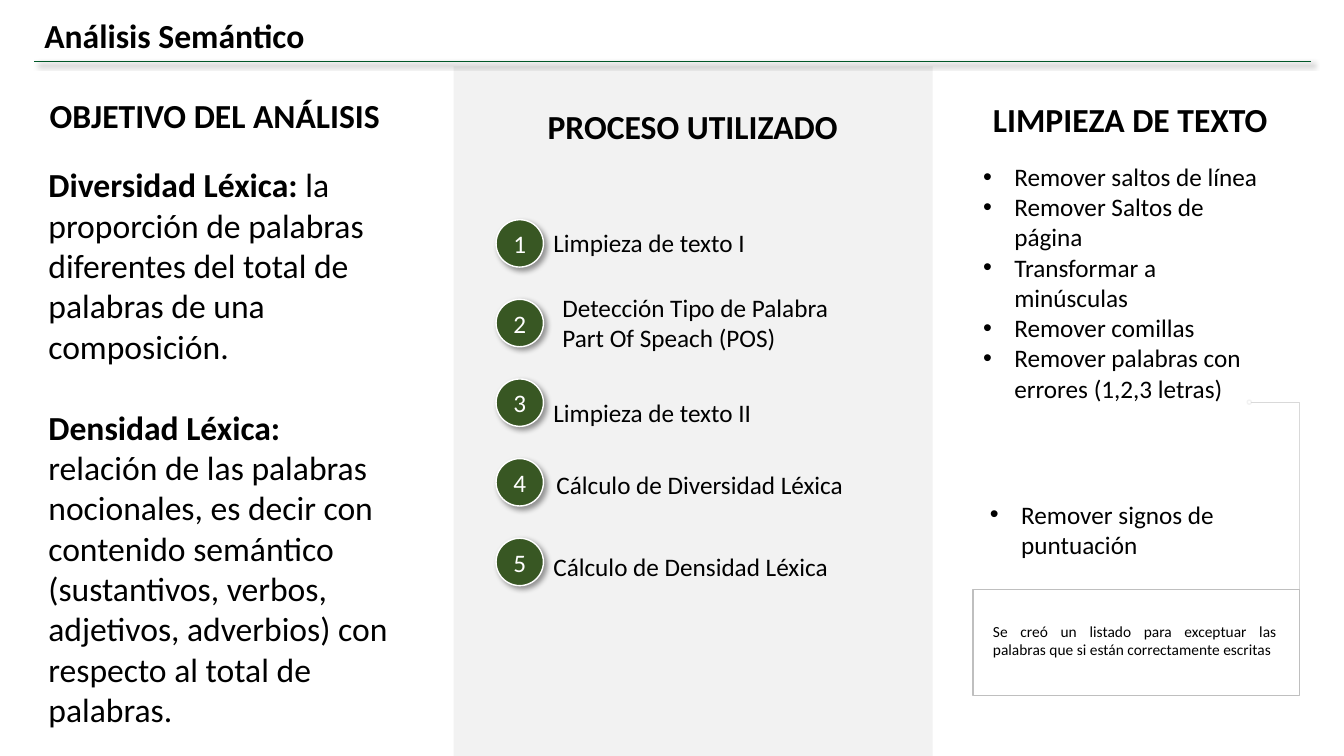
from dataclasses import dataclass

from lxml.etree import SubElement
from pptx import Presentation
from pptx.dml.color import RGBColor
from pptx.enum.shapes import MSO_CONNECTOR, MSO_SHAPE
from pptx.enum.text import MSO_ANCHOR, MSO_AUTO_SIZE, PP_ALIGN
from pptx.oxml.ns import qn
from pptx.util import Inches, Pt


@dataclass(frozen=True)
class Theme:
    font: str = "Calibri"
    ink: str = "000000"
    white: str = "FFFFFF"
    rule: str = "005828"
    panel: str = "F2F2F2"
    badge: str = "385723"
    link: str = "D9D9D9"
    frame: str = "BFBFBF"
    heading: int = 24
    body: int = 18
    note: int = 11


THEME = Theme()

TITLE = "Análisis Semántico"
HEADINGS = [  # text, left, top, alignment
    ("OBJETIVO DEL ANÁLISIS", 0.34, 0.89, PP_ALIGN.CENTER),
    ("PROCESO UTILIZADO", 5.08, 1, PP_ALIGN.CENTER),
    ("LIMPIEZA DE TEXTO", 9.75, 0.93, PP_ALIGN.LEFT),
]
DEFINITIONS = [
    ("Diversidad Léxica: ",
     "la proporción de palabras diferentes del total de palabras de una composición."),
    ("Densidad Léxica: ",
     "relación de las palabras nocionales, es decir con contenido semántico "
     "(sustantivos, verbos, adjetivos, adverbios) con respecto al total de palabras."),
]
STEPS = [  # lines, left, top
    (["Limpieza de texto I"], 5.39, 2.21),
    (["Detección Tipo de Palabra", "Part Of Speach (POS)"], 5.48, 2.85),
    (["Limpieza de texto II"], 5.39, 3.89),
    (["Cálculo de Diversidad Léxica"], 5.42, 4.61),
    (["Cálculo de Densidad Léxica"], 5.39, 5.42),
]
CLEANING = [
    "Remover saltos de línea",
    "Remover Saltos de página",
    "Transformar a minúsculas",
    "Remover comillas",
    "Remover palabras con errores (1,2,3 letras)",
]
PUNCTUATION = ["Remover signos de puntuación"]
NOTE = "Se creó un listado para exceptuar las palabras que si están correctamente escritas"

BADGE_LEFT, BADGE_TOP, BADGE_SIZE, BADGE_PITCH = 4.92, 2.18, 0.47, 0.79
NOTE_BOX = (9.65, 5.85, 3.24, 1.05)
DOT = (12.37, 3.97, 0.04, 0.04)


def rgb(value):
    return RGBColor.from_string(value)


def place(shape, box):
    shape.left, shape.top, shape.width, shape.height = map(Inches, box)


def add_effects(spPr, shadow):
    """Replace the theme effect with none, or with a soft drop shadow."""
    effects = spPr.find(qn("a:effectLst"))
    if effects is None:
        effects = SubElement(spPr, qn("a:effectLst"))
    if shadow:
        outer = SubElement(effects, qn("a:outerShdw"), blurRad=str(Pt(4)),
                           dist=str(Pt(3)), dir=str(45 * 60000), rotWithShape="0")
        color = SubElement(outer, qn("a:srgbClr"), val=THEME.ink)
        SubElement(color, qn("a:alpha"), val="40000")


def add_shape(slide, kind, box, fill=None, line=None, shadow=False):
    shape = slide.shapes.add_shape(kind, *map(Inches, box))
    shape.shadow.inherit = False
    if fill:
        shape.fill.solid()
        shape.fill.fore_color.rgb = rgb(fill)
    else:
        shape.fill.background()
    if line:
        shape.line.color.rgb = rgb(line)
        shape.line.width = Pt(1)
    else:
        shape.line.fill.background()
    add_effects(shape._element.spPr, shadow)
    return shape


def add_line(slide, kind, start, end, color, width, shadow=False):
    line = slide.shapes.add_connector(kind, *map(Inches, start + end))
    line.line.color.rgb = rgb(color)
    line.line.width = Pt(width)
    add_effects(line._element.spPr, shadow)
    return line


def write(shape, paragraphs, size, color=THEME.ink, align=PP_ALIGN.LEFT,
          anchor=MSO_ANCHOR.TOP, bullet=False, gap=0):
    """Fill a shape; each paragraph is a list of (text, bold) runs."""
    frame = shape.text_frame
    frame.word_wrap = True
    frame.auto_size = MSO_AUTO_SIZE.NONE
    frame.vertical_anchor = anchor
    for index, runs in enumerate(paragraphs):
        paragraph = frame.add_paragraph() if index else frame.paragraphs[0]
        paragraph.alignment = align
        paragraph.space_before = Pt(gap if index else 0)
        indent = Inches(0.31) if bullet else 0
        pPr = paragraph._p.get_or_add_pPr()
        pPr.set("marL", str(indent))
        pPr.set("indent", str(-indent))
        if bullet:
            SubElement(pPr, qn("a:buFont"), typeface="Arial")
            SubElement(pPr, qn("a:buChar"), char="•")
        else:
            SubElement(pPr, qn("a:buNone"))
        for text, bold in runs:
            run = paragraph.add_run()
            run.text = text
            run.font.name = THEME.font
            run.font.size = Pt(size)
            run.font.bold = bold
            run.font.color.rgb = rgb(color)


def plain(lines):
    return [[(line, False)] for line in lines]


def add_text(slide, box, paragraphs, size, **style):
    write(slide.shapes.add_textbox(*map(Inches, box)), paragraphs, size, **style)


def add_placeholder_texts(slide):
    title, objective, cleaning = slide.placeholders
    place(title, (0.34, 0.05, 9.32, 0.52))
    frame = title.text_frame
    frame.margin_top = frame.margin_bottom = Inches(0.1)
    write(title, [[(TITLE, True)]], THEME.heading)
    place(objective, (0.38, 1.58, 3.58, 5.76))
    write(objective, [[(term, True), (meaning, False)] for term, meaning in DEFINITIONS],
          THEME.heading, gap=29)
    place(cleaning, (9.65, 1.55, 2.92, 3.13))
    write(cleaning, plain(CLEANING), THEME.body, bullet=True)


def add_process(slide):
    for index, (lines, left, top) in enumerate(STEPS):
        badge = add_shape(slide, MSO_SHAPE.OVAL,
                          (BADGE_LEFT, BADGE_TOP + index * BADGE_PITCH, BADGE_SIZE, BADGE_SIZE),
                          THEME.badge, THEME.white, shadow=True)
        write(badge, plain([str(index + 1)]), THEME.body, THEME.white,
              PP_ALIGN.CENTER, MSO_ANCHOR.MIDDLE)
        add_text(slide, (left, top, 3.06, 0.1 + 0.3 * len(lines)), plain(lines), THEME.body)


def add_note(slide):
    add_text(slide, (9.72, 4.9, 2.92, 0.71), plain(PUNCTUATION), THEME.body, bullet=True)
    add_shape(slide, MSO_SHAPE.OVAL, DOT, line=THEME.panel)
    start = (DOT[0] + DOT[2], DOT[1] + DOT[3] / 2)
    end = (NOTE_BOX[0] + NOTE_BOX[2], NOTE_BOX[1])
    elbow = add_line(slide, MSO_CONNECTOR.ELBOW, start, end, THEME.link, 0.5)
    elbow._element.spPr.find(qn("a:prstGeom")).set("prst", "bentConnector2")
    add_shape(slide, MSO_SHAPE.RECTANGLE, NOTE_BOX, line=THEME.frame)
    add_text(slide, (9.75, 6.12, 3.01, 0.47), plain([NOTE]), THEME.note,
             align=PP_ALIGN.JUSTIFY)


def main():
    deck = Presentation()
    deck.slide_width, deck.slide_height = Inches(13.33), Inches(7.5)
    slide = deck.slides.add_slide(deck.slide_layouts.get_by_name("Two Content"))
    add_shape(slide, MSO_SHAPE.RECTANGLE, (4.5, 0.66, 4.75, 6.84), THEME.panel)
    add_line(slide, MSO_CONNECTOR.STRAIGHT, (0.34, 0.61), (13, 0.61), THEME.rule, 0.75,
             shadow=True)
    add_placeholder_texts(slide)
    for text, left, top, align in HEADINGS:
        add_text(slide, (left, top, 3.58, 0.5), [[(text, True)]], THEME.heading, align=align)
    add_process(slide)
    add_note(slide)
    deck.save("out.pptx")


if __name__ == "__main__":
    main()
